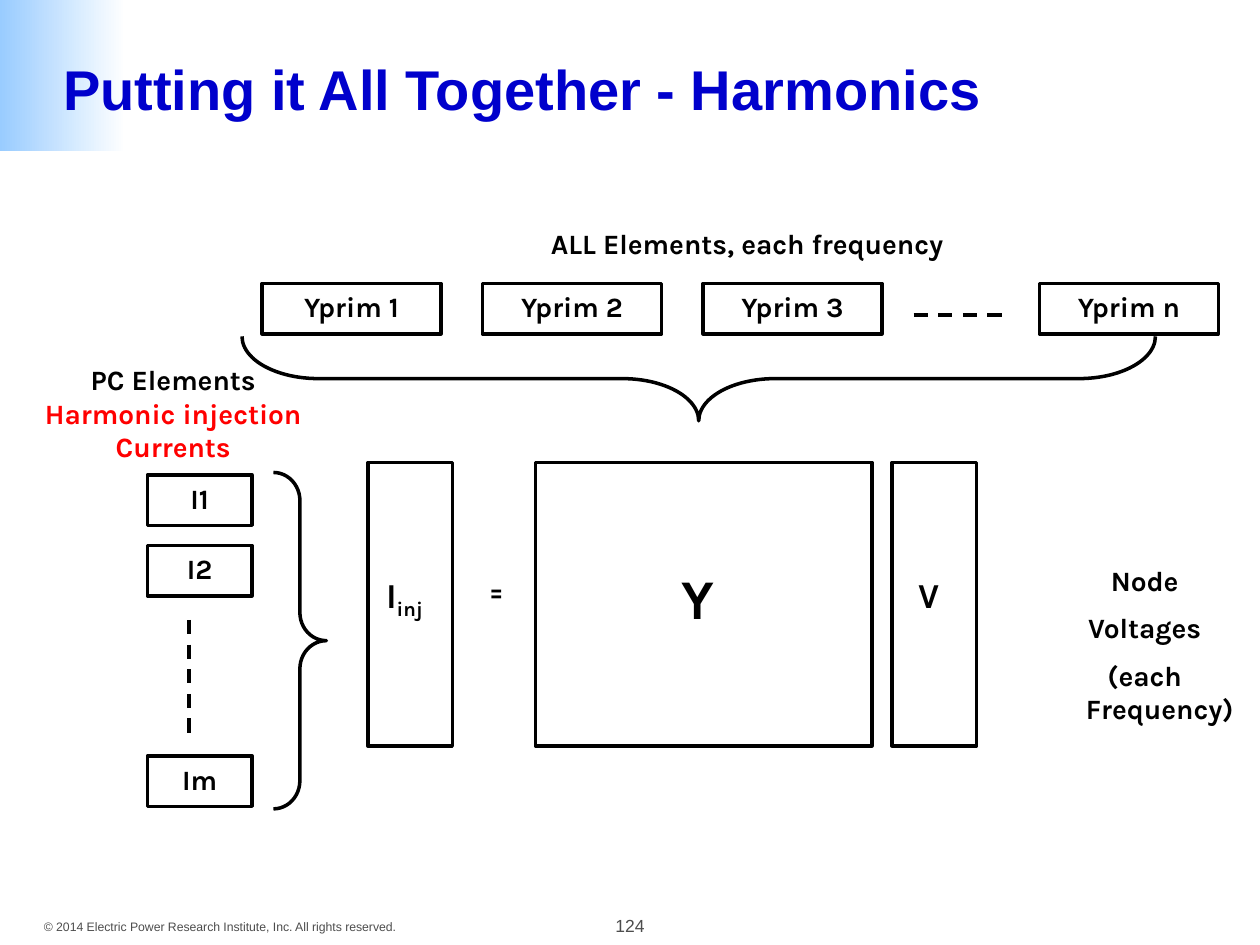
from dataclasses import dataclass

from lxml.etree import SubElement
from pptx import Presentation
from pptx.dml.color import RGBColor
from pptx.enum.dml import MSO_LINE
from pptx.enum.shapes import MSO_CONNECTOR, MSO_SHAPE
from pptx.enum.text import MSO_ANCHOR, PP_ALIGN
from pptx.oxml.ns import qn
from pptx.util import Inches, Pt


@dataclass(frozen=True)
class Theme:
    ink: RGBColor = RGBColor(0, 0, 0)
    paper: RGBColor = RGBColor(255, 255, 255)
    sky: RGBColor = RGBColor(0x99, 0xCC, 0xFF)
    title: RGBColor = RGBColor(0, 0, 0xCC)
    accent: RGBColor = RGBColor(255, 0, 0)
    muted: RGBColor = RGBColor(0x4D, 0x4D, 0x4D)
    heading_font: str = "Arial"
    body_font: str = "Karla"
    title_size: int = 32
    matrix_size: int = 32
    vector_size: int = 20
    label_size: int = 16
    number_size: int = 10
    notice_size: int = 7
    line_width: int = 2


@dataclass(frozen=True)
class Box:
    left: float
    top: float
    width: float
    height: float

    def inside(self, left, top, width, height):
        return Box(self.left + left, self.top + top, width, height)

    def lengths(self):
        return [Inches(value) for value in (self.left, self.top, self.width, self.height)]


THEME = Theme()


def write(shape, text, size=THEME.label_size, font=THEME.body_font, color=THEME.ink,
          bold=True, align=PP_ALIGN.CENTER, hanging=True, wrap=True, anchor=MSO_ANCHOR.TOP):
    frame = shape.text_frame
    frame.word_wrap = wrap
    frame.vertical_anchor = anchor
    for index, line in enumerate(text.split("\n")):
        para = frame.paragraphs[0] if index == 0 else frame.add_paragraph()
        para.alignment = align
        if index:
            para.space_before = Pt(size / 2)
        if hanging:
            properties = para._p.get_or_add_pPr()
            properties.set("marL", str(Inches(0.24)))
            properties.set("indent", str(Inches(-0.24)))
        add_span(para, line, size, font, color, bold)
    return frame.paragraphs[0]


def add_span(para, text, size, font, color, bold=True):
    span = para.add_run()
    span.text = text
    span.font.size = Pt(size)
    span.font.name = font
    span.font.bold = bold
    span.font.color.rgb = color
    return span


def add_text(page, box, text, **style):
    return write(page.shapes.add_textbox(*box.lengths()), text, **style)


def add_outline(page, box, kind=MSO_SHAPE.RECTANGLE):
    shape = page.shapes.add_shape(kind, *box.lengths())
    shape.shadow.inherit = False
    shape.fill.background()
    shape.line.color.rgb = THEME.ink
    shape.line.width = Pt(THEME.line_width)
    return shape


def add_caption(page, box, text, **style):
    shape = add_outline(page, box)
    shape.fill.solid()
    shape.fill.fore_color.rgb = THEME.paper
    shape.line.fill.background()
    return write(shape, text, **style)


def add_brace(page, box, curve, rotation=0):
    brace = add_outline(page, box, MSO_SHAPE.RIGHT_BRACE)
    brace.adjustments[0] = curve
    brace.adjustments[1] = 0.5
    brace.rotation = rotation


def add_dashes(page, box):
    left, top, width, height = box.lengths()
    line = page.shapes.add_connector(
        MSO_CONNECTOR.STRAIGHT, left, top, left + width, top + height)
    line.line.color.rgb = THEME.ink
    line.line.width = Pt(THEME.line_width)
    line.line.dash_style = MSO_LINE.DASH
    SubElement(line._element.spPr, qn("a:effectLst"))


def draw_header(page, box):
    title = page.shapes.title
    title.left, title.top, title.width, title.height = box.inside(0.4, 0.2, 9.2, 1).lengths()
    write(title, "Putting it All Together - Harmonics", size=THEME.title_size,
          font=THEME.heading_font, color=THEME.title, align=PP_ALIGN.LEFT,
          hanging=False, anchor=MSO_ANCHOR.MIDDLE)
    band = add_outline(page, box.inside(0, 0, 1, box.height))
    band.line.fill.background()
    band.fill.gradient()
    band.fill.gradient_angle = 0
    for stop, color in zip(band.fill.gradient_stops, (THEME.sky, THEME.paper)):
        stop.color.rgb = color
    title._element.addprevious(band._element)


def draw_element_row(page, box):
    add_caption(page, box.inside(2.06, 0, 3.58, 0.37), "ALL Elements, each frequency")
    cell_width, pitch = 1.42, 1.75
    offsets = [0, pitch, 2 * pitch, box.width - cell_width]
    for offset, name in zip(offsets, "123n"):
        write(add_outline(page, box.inside(offset, 0.5, cell_width, 0.4)), f"Yprim {name}")
    add_dashes(page, box.inside(5.17, 0.75, 0.75, 0))
    add_brace(page, box.inside(3.13, -2.37, 0.67, 7.25), 0.906, rotation=90)


def draw_injections(page, box):
    para = add_caption(page, box.inside(0, 0, 2.25, 0.9), "PC Elements", hanging=False)
    para.add_line_break()
    add_span(para, "Harmonic injection Currents", THEME.label_size, THEME.body_font, THEME.accent)
    for name, offset in (("I1", 0.94), ("I2", 1.5), ("Im", 3.17)):
        write(add_outline(page, box.inside(0.92, offset, 0.83, 0.4)), name)
    add_dashes(page, box.inside(1.25, 2.09, 0, 0.91))
    add_brace(page, box.inside(1.92, 0.92, 0.42, 2.67), 0.533)


def draw_equation(page, box):
    for offset, width in ((0, 0.67), (1.33, 2.67), (4.16, 0.67)):
        add_outline(page, box.inside(offset, 0, width, box.height))
    current = add_text(page, box.inside(-0.25, 0.83, 1.08, 0.43), "I", size=THEME.vector_size)
    subscript = add_span(current, "inj", THEME.vector_size, THEME.body_font, THEME.ink)
    subscript.font._element.set("baseline", "-25000")
    add_text(page, box.inside(0.83, 0.83, 0.38, 0.37), "=", wrap=False)
    add_text(page, box.inside(2.08, 0.75, 1.08, 0.63), "Y", size=THEME.matrix_size)
    add_text(page, box.inside(3.91, 0.83, 1.08, 0.43), "V", size=THEME.vector_size)


def draw_node_voltages(page, box):
    add_text(page, box, "Node\nVoltages\n(each Frequency)")


def draw_footer(page, box):
    style = dict(font=THEME.heading_font, color=THEME.muted, bold=False, hanging=False)
    add_text(page, box.inside(0.25, 0.04, 3.02, 0.22),
             "© 2014 Electric Power Research Institute, Inc. All rights reserved.",
             size=THEME.notice_size, align=PP_ALIGN.LEFT, wrap=False, **style)
    add_text(page, box.inside(4.67, 0, 0.66, 0.27), "124", size=THEME.number_size, **style)


def main():
    deck = Presentation()
    deck.slide_width, deck.slide_height = Inches(10), Inches(7.5)
    page = deck.slides.add_slide(deck.slide_layouts[5])
    draw_header(page, Box(0, 0, 10, 1.2))
    draw_injections(page, Box(0.25, 2.83, 2.34, 3.59))
    draw_element_row(page, Box(2.08, 1.75, 7.59, 1.58))
    draw_equation(page, Box(2.92, 3.67, 4.83, 2.25))
    draw_node_voltages(page, Box(8.17, 4.42, 1.83, 1.44))
    draw_footer(page, Box(0, 7.21, 10, 0.29))
    deck.save("out.pptx")


if __name__ == "__main__":
    main()
